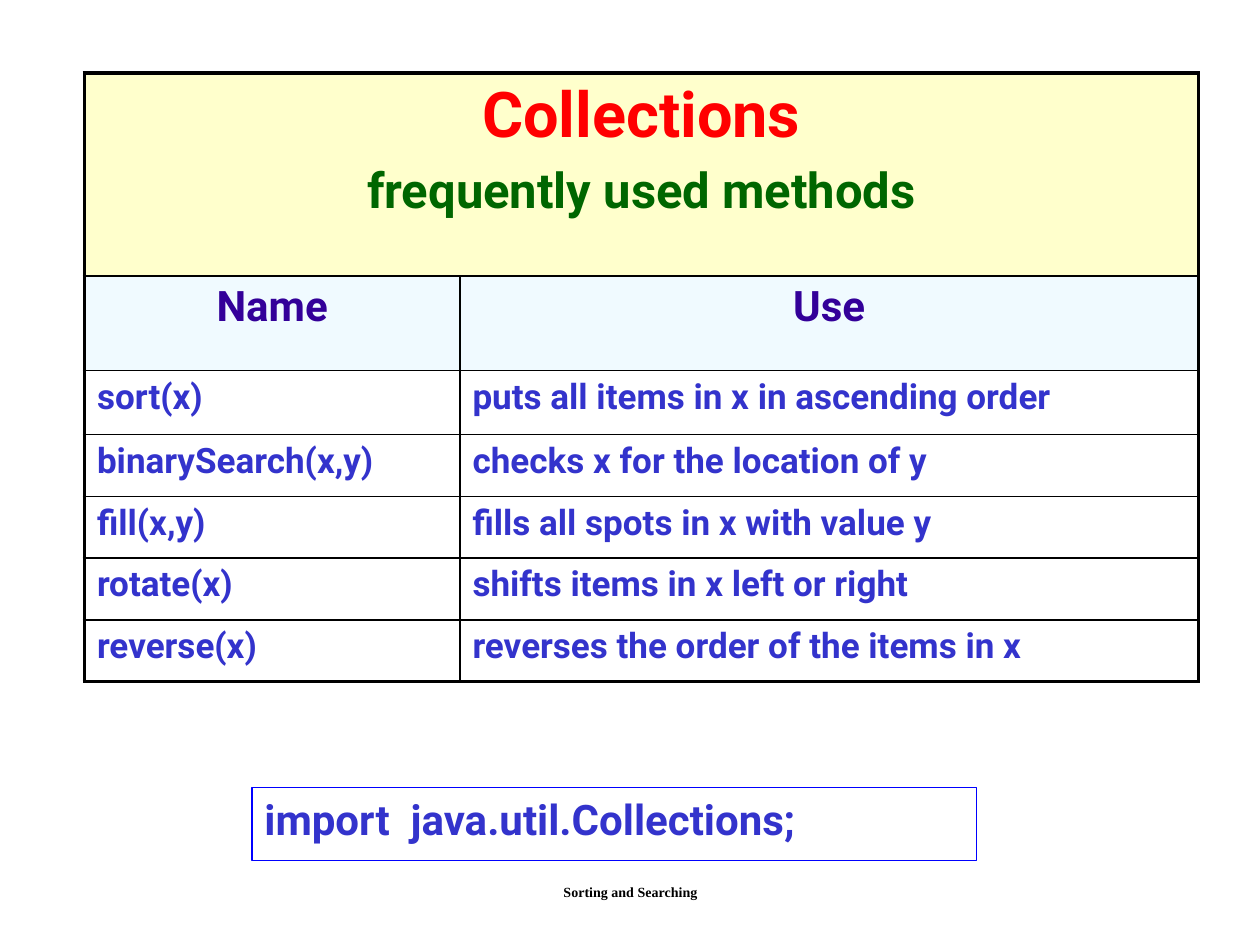
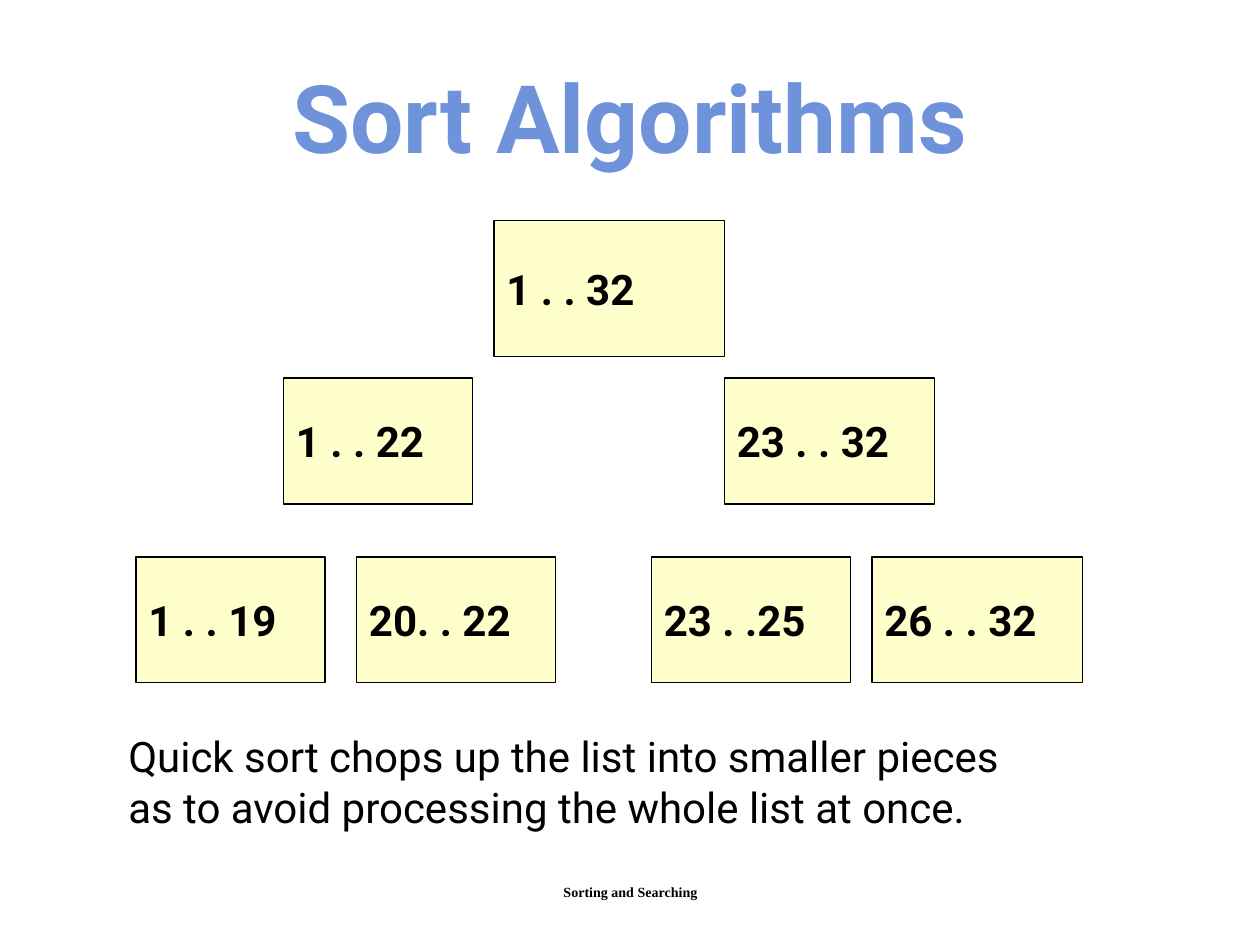
"""Build two slides on sorting and searching: a method table and a quick sort diagram."""
import pptx
import pptx.util
import pptx.dml.color
import pptx.enum.shapes
import pptx.enum.text
import pptx.oxml
import pptx.oxml.ns

Inches = pptx.util.Inches
Pt = pptx.util.Pt
ALIGN = pptx.enum.text.PP_ALIGN
ANCHOR = pptx.enum.text.MSO_ANCHOR
COLORS = {
    "black": "000000", "cream": "FFFFCC", "ice": "F0FAFF", "red": "FF0000",
    "green": "006600", "purple": "330099", "indigo": "3333CC",
    "blue": "0000FF", "title": "6F93DB",
}


def write(text_frame, text, styles, align=ALIGN.LEFT, bold=True, font="Roboto"):
    text_frame.text = text
    text_frame.word_wrap = True
    for paragraph, (size, color) in zip(text_frame.paragraphs, styles):
        paragraph.alignment = align
        for run in paragraph.runs:
            run.font.name = font
            run.font.size = Pt(size)
            run.font.bold = bold
            run.font.color.rgb = pptx.dml.color.RGBColor.from_string(COLORS[color])


def add_box(slide, bounds, line_color, line_width, fill_color=None):
    shape = slide.shapes.add_shape(
        pptx.enum.shapes.MSO_SHAPE.RECTANGLE, *map(Inches, bounds))
    shape.shadow.inherit = False
    shape.line.color.rgb = pptx.dml.color.RGBColor.from_string(COLORS[line_color])
    shape.line.width = Pt(line_width)
    if fill_color:
        shape.fill.solid()
        shape.fill.fore_color.rgb = pptx.dml.color.RGBColor.from_string(COLORS[fill_color])
    else:
        shape.fill.background()
    return shape


presentation = pptx.Presentation()
presentation.slide_width = Inches(10)
presentation.slide_height = Inches(7.5)
methods_slide, quick_sort_slide = [
    presentation.slides.add_slide(presentation.slide_layouts[6]) for _ in range(2)]

for slide in (methods_slide, quick_sort_slide):
    footer = slide.shapes.add_textbox(Inches(3.42), Inches(6.83), Inches(3.17), Inches(0.5))
    write(footer.text_frame, "Sorting and Searching", [(8, "black")], ALIGN.CENTER,
          font="Times New Roman")
    footer.text_frame.vertical_anchor = ANCHOR.MIDDLE

METHODS = [
    ("Collections\nfrequently used methods", ""),
    ("Name", "Use"),
    ("sort(x)", "puts all items in x in ascending order"),
    ("binarySearch(x,y)", "checks x for the location of y"),
    ("fill(x,y)", "fills all spots in x with value y"),
    ("rotate(x)", "shifts items in x left or right"),
    ("reverse(x)", "reverses the order of the items in x"),
]
ROW_HEIGHTS = [1.61, 0.75, 0.51] + [0.49] * 4
COLUMN_WIDTHS = [2.98, 5.86]
HEADER_STYLES = [
    ([(36, "red"), (28, "green")], "cream"),
    ([(24, "purple")], "ice"),
]

table = methods_slide.shapes.add_table(
    len(METHODS), 2, Inches(0.67), Inches(0.58), Inches(8.84), Inches(4.83)).table
table.first_row = False
table.horz_banding = False
for column, width in zip(table.columns, COLUMN_WIDTHS):
    column.width = Inches(width)
for row, height in zip(table.rows, ROW_HEIGHTS):
    row.height = Inches(height)
table.cell(0, 0).merge(table.cell(0, 1))

last_row = len(METHODS) - 1
for row_index, texts in enumerate(METHODS):
    is_header = row_index < len(HEADER_STYLES)
    styles, fill_color = HEADER_STYLES[row_index] if is_header else ([(20, "indigo")], None)
    for column_index, text in enumerate(texts):
        cell = table.cell(row_index, column_index)
        if text:
            write(cell.text_frame, text, styles, ALIGN.CENTER if is_header else ALIGN.LEFT)
        if fill_color:
            cell.fill.solid()
            cell.fill.fore_color.rgb = pptx.dml.color.RGBColor.from_string(COLORS[fill_color])
        else:
            cell.fill.background()
        outer_edges = {
            "L": column_index == 0, "R": column_index == 1 or row_index == 0,
            "T": row_index == 0, "B": row_index == last_row,
        }
        for position, (edge, is_outer) in enumerate(outer_edges.items()):
            border = pptx.oxml.parse_xml(
                f'<a:ln{edge} {pptx.oxml.ns.nsdecls("a")} w="{Pt(2.25 if is_outer else 1)}">'
                f'<a:solidFill><a:srgbClr val="{COLORS["black"]}"/></a:solidFill></a:ln{edge}>')
            cell._tc.get_or_add_tcPr().insert(position, border)
table.cell(0, 0).text_frame.paragraphs[1].space_before = Pt(5.6)

import_box = add_box(methods_slide, (2, 6.25, 5.75, 0.58), "blue", 1)
write(import_box.text_frame, "import  java.util.Collections;", [(24, "indigo")])
import_box.text_frame.vertical_anchor = ANCHOR.TOP

RANGE_LEVELS = [
    (1.75, 1.08, [(3.92, 1.83, "1 . . 32")]),
    (3, 1, [(2.25, 1.5, "1 . . 22"), (5.75, 1.67, "23 . . 32")]),
    (4.42, 1, [(1.08, 1.5, "1 . . 19"), (2.83, 1.58, "20. . 22"),
               (5.17, 1.58, "23 . .25"), (6.92, 1.67, "26 . . 32")]),
]
for top, height, ranges in RANGE_LEVELS:
    for left, width, label in ranges:
        range_box = add_box(quick_sort_slide, (left, top, width, height), "black", 0.75, "cream")
        write(range_box.text_frame, label, [(24, "black")])
        range_box.text_frame.vertical_anchor = ANCHOR.MIDDLE

explanation = quick_sort_slide.shapes.add_textbox(
    Inches(0.92), Inches(5.75), Inches(8.5), Inches(1.03))
write(explanation.text_frame,
      "Quick sort chops up the list into smaller pieces\v"
      "as to avoid processing the whole list at once.", [(24, "black")], bold=False)

title = quick_sort_slide.shapes.add_textbox(Inches(0), Inches(0.42), Inches(10), Inches(1.01))
write(title.text_frame, "Sort Algorithms", [(54, "title")], ALIGN.CENTER)

presentation.save("out.pptx")
